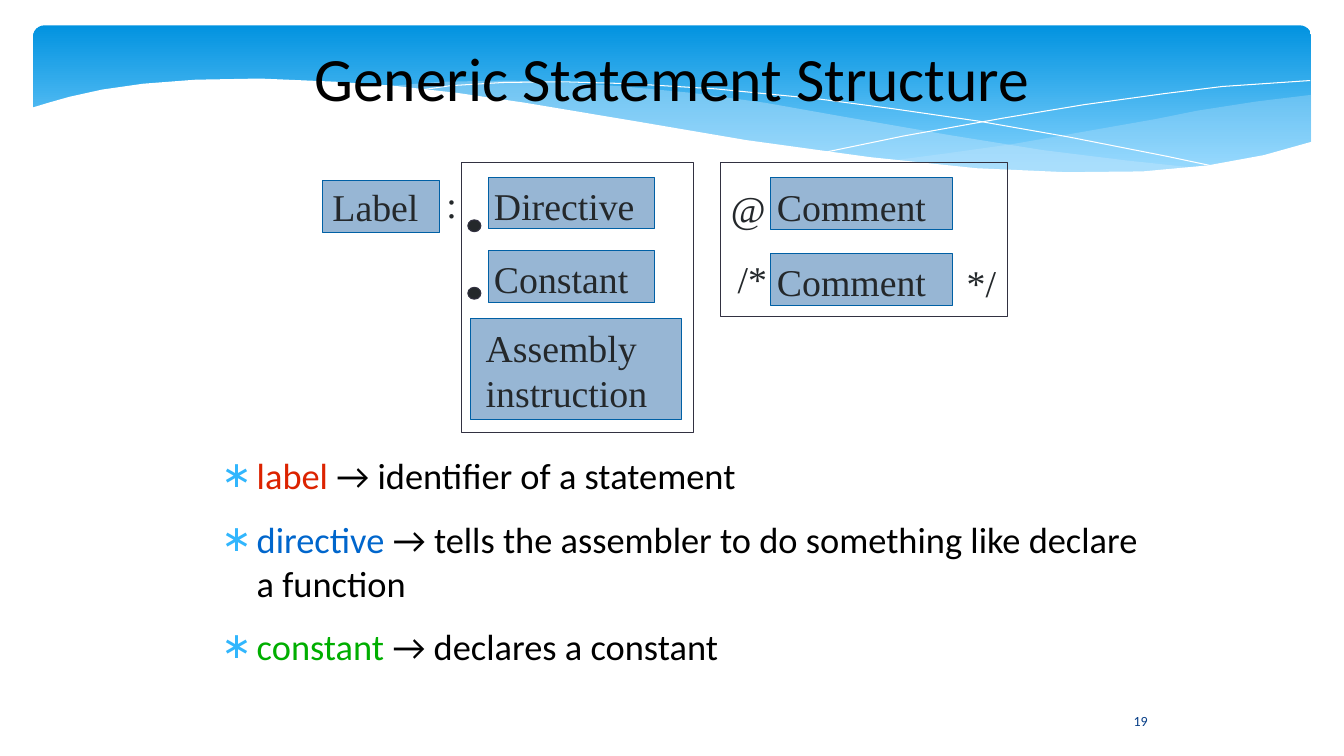
from lxml.etree import SubElement
from pptx import Presentation
from pptx.dml.color import RGBColor
from pptx.enum.shapes import MSO_SHAPE
from pptx.enum.text import MSO_ANCHOR, MSO_AUTO_SIZE, PP_ALIGN
from pptx.oxml import parse_xml
from pptx.oxml.ns import nsdecls, qn
from pptx.util import Cm, Pt

INK = "24282B"
FRAME_LINE = "323141"
DIAGRAM_FONT = "Times New Roman"


def color(hex_code):
    return RGBColor.from_string(hex_code)


def write(text_frame, runs, size, font_name, left=0, top=0, anchor=MSO_ANCHOR.TOP):
    """Fill the first paragraph with (text, colour) runs and return it."""
    text_frame.margin_left, text_frame.margin_top = Cm(left), Cm(top)
    text_frame.margin_right = text_frame.margin_bottom = 0
    text_frame.vertical_anchor = anchor
    paragraph = text_frame.paragraphs[0]
    for text, hex_code in runs:
        run = paragraph.add_run()
        run.text = text
        run.font.size = Pt(size)
        run.font.name = font_name
        run.font.color.rgb = color(hex_code)
    return paragraph


presentation = Presentation()
presentation.slide_width = Cm(33.87)
presentation.slide_height = Cm(19.05)
slide = presentation.slides.add_slide(presentation.slide_layouts[1])
shapes = slide.shapes
title, body = shapes.title, slide.placeholders[1]

# Blue banner
banner = shapes.add_shape(MSO_SHAPE.ROUNDED_RECTANGLE, Cm(0.84), Cm(0.64), Cm(32.2), Cm(3.96))
banner.adjustments[0] = 0.07
banner.shadow.inherit = False
banner.line.fill.background()
banner.fill.gradient()
banner.fill.gradient_angle = 270
for stop, hex_code, position in zip(banner.fill.gradient_stops, ("0293E0", "83D3FE"), (0, 0.9)):
    stop.color.rgb = color(hex_code)
    stop.position = position

# Waves over the banner: points in cm, fill, opacity in percent (no fill means a white line)
right_wave = [
    (33.05, 2.39), (31.65, 2.56), (30.17, 2.79), (29.13, 3.0), (27.25, 3.33), (25.53, 3.63),
    (23.9, 3.86), (22.4, 4.06), (24.33, 4.24), (26.04, 4.34), (27.56, 4.37), (28.91, 4.32),
    (30.12, 4.22), (31.19, 4.06), (32.16, 3.86), (33.05, 3.61)]
middle_wave = [
    (30.23, 4.24), (28.35, 4.04), (26.26, 3.78), (23.9, 3.4), (21.31, 2.95), (19.28, 2.59),
    (17.42, 2.34), (15.72, 2.18), (14.22, 2.08), (12.85, 2.03), (11.1, 2.06), (9.7, 2.18),
    (11.58, 2.39), (13.69, 2.69), (15.21, 2.95), (17.93, 3.43), (20.37, 3.81), (22.53, 4.09),
    (24.46, 4.27), (26.16, 4.37), (27.69, 4.39), (29.03, 4.34)]
falling_line = [
    (10.46, 2.29), (11.35, 2.16), (12.67, 2.08), (14.1, 2.06), (15.88, 2.11), (18.03, 2.24),
    (20.6, 2.49), (22.5, 2.74), (24.64, 3.05), (26.92, 3.45), (29.41, 3.94), (30.73, 4.22)]
rising_line = [
    (20.78, 3.84), (22.76, 3.43), (25.32, 2.97), (27.31, 2.64), (29.34, 2.36), (30.81, 2.18),
    (33.02, 2.03)]
white_wave = [
    (33.1, 3.56), (31.85, 3.91), (30.43, 4.17), (28.8, 4.32), (26.87, 4.34), (24.61, 4.24),
    (21.92, 3.96), (18.8, 3.53), (16.1, 3.07), (13.23, 2.59), (11.51, 2.34), (9.91, 2.16),
    (8.46, 2.06), (6.55, 1.98), (4.93, 2.01), (3.61, 2.11), (2.57, 2.26), (1.75, 2.44),
    (1.22, 2.59), (0.79, 2.72), (0.79, 5.69), (33.1, 5.69)]
for points, fill, opacity in [
    (right_wave, "C6E7FC", 29),
    (middle_wave, "C6E7FC", 40),
    (falling_line, None, 100),
    (rising_line, None, 100),
    (white_wave, "FFFFFF", 100),
]:
    corners = [(Cm(x), Cm(y)) for x, y in points]
    builder = shapes.build_freeform(*corners[0])
    builder.add_line_segments(corners[1:], close=fill is not None)
    wave = builder.convert_to_shape()
    wave.shadow.inherit = False
    if fill:
        wave.line.fill.background()
        wave.fill.solid()
        wave.fill.fore_color.rgb = color(fill)
        tint = wave.fill._xPr.find(qn("a:solidFill"))[0]
        SubElement(tint, qn("a:alpha")).set("val", str(opacity * 1000))
    else:
        wave.fill.background()
        wave.line.color.rgb = color("FFFFFF")
        wave.line.width = 0

# Slide number
number = shapes.add_textbox(Cm(27.97), Cm(17.65), Cm(1.55), Cm(1.02))
number.text_frame.word_wrap = True
paragraph = write(number.text_frame, [("19", "073E87")], 10, "Calibri", anchor=MSO_ANCHOR.MIDDLE)
paragraph.alignment = PP_ALIGN.CENTER

# Title and definitions, brought in front of the banner
for placeholder, left, top, width, height in [
    (title, 4.88, 0.64, 24.13, 2.59),
    (body, 5.28, 11.43, 23.7, 5.26),
]:
    shapes._spTree.append(placeholder._element)
    placeholder.left, placeholder.top = Cm(left), Cm(top)
    placeholder.width, placeholder.height = Cm(width), Cm(height)
    placeholder.text_frame.auto_size = MSO_AUTO_SIZE.NONE
    placeholder.text_frame.word_wrap = True

paragraph = write(title.text_frame, [("Generic Statement Structure", "000000")], 44, "Calibri",
                  anchor=MSO_ANCHOR.MIDDLE)
paragraph.alignment = PP_ALIGN.CENTER

definitions = [
    ("label", "DC2300", " → identifier of a statement"),
    ("directive", "0066CC", " → tells the assembler to do something like declare a function"),
    ("constant", "00AE00", " → declares a constant"),
]
body.text_frame.margin_left = body.text_frame.margin_right = 0
body.text_frame.margin_top = body.text_frame.margin_bottom = 0
for index, (term, hex_code, meaning) in enumerate(definitions):
    paragraph = body.text_frame.add_paragraph() if index else body.text_frame.paragraphs[0]
    properties = paragraph._p.get_or_add_pPr()
    properties.set("marL", str(Cm(1.19)))
    properties.set("indent", str(Cm(-0.89)))
    for bullet_xml in (
        '<a:buClr %s><a:srgbClr val="31B6FD"/></a:buClr>',
        '<a:buFont %s typeface="Calibri"/>',
        '<a:buChar %s char="∗"/>',
    ):
        properties.append(parse_xml(bullet_xml % nsdecls("a")))
    paragraph.space_before = 0
    paragraph.space_after = Pt(14.1)
    for text, run_color in ((term, hex_code), (meaning, "000000")):
        run = paragraph.add_run()
        run.text = text
        run.font.size = Pt(26)
        run.font.name = "Calibri"
        run.font.color.rgb = color(run_color)

# Statement diagram: frames, then named parts with their text insets
for kind, left, top, width, height, fill, line, text, inset_left, inset_top in [
    (MSO_SHAPE.RECTANGLE, 11.63, 4.09, 5.84, 6.81, None, FRAME_LINE, "", 0, 0),
    (MSO_SHAPE.RECTANGLE, 18.16, 4.09, 7.24, 3.89, None, FRAME_LINE, "", 0, 0),
    (MSO_SHAPE.RECTANGLE, 8.13, 4.55, 2.95, 1.32, "97B6D4", "0060A5", "Label", 0.25, 0.08),
    (MSO_SHAPE.RECTANGLE, 12.32, 4.47, 4.17, 1.3, "97B6D4", "0060A5", "Directive", 0.13, 0.13),
    (MSO_SHAPE.RECTANGLE, 12.32, 6.32, 4.17, 1.3, "97B6D4", "0060A5", "Constant", 0.13, 0.13),
    (MSO_SHAPE.RECTANGLE, 11.86, 8.03, 5.31, 2.54, "97B6D4", "0060A5", "Assembly instruction", 0.38, 0.15),
    (MSO_SHAPE.RECTANGLE, 19.43, 4.47, 4.57, 1.32, "97B6D4", "0060A5", "Comment", 0.15, 0.15),
    (MSO_SHAPE.RECTANGLE, 19.43, 6.4, 4.57, 1.3, "97B6D4", "0060A5", "Comment", 0.15, 0.13),
    (MSO_SHAPE.OVAL, 11.79, 5.54, 0.33, 0.3, INK, FRAME_LINE, "", 0, 0),
    (MSO_SHAPE.OVAL, 11.79, 7.24, 0.33, 0.3, INK, FRAME_LINE, "", 0, 0),
]:
    shape = shapes.add_shape(kind, Cm(left), Cm(top), Cm(width), Cm(height))
    shape.shadow.inherit = False
    shape.line.color.rgb = color(line)
    shape.line.width = 0
    if fill:
        shape.fill.solid()
        shape.fill.fore_color.rgb = color(fill)
    else:
        shape.fill.background()
    if text:
        paragraph = write(shape.text_frame, [(text, INK)], 27, DIAGRAM_FONT, inset_left, inset_top)
        paragraph.alignment = PP_ALIGN.LEFT

# Punctuation around the parts
for mark, left, top, width in [
    (":", 11.25, 4.55, 0.28),
    ("@", 18.42, 4.67, 0.89),
    ("/*", 18.59, 6.45, 0.76),
    ("*/", 24.36, 6.55, 0.76),
]:
    box = shapes.add_textbox(Cm(left), Cm(top), Cm(width), Cm(1.14))
    box.text_frame.word_wrap = False
    write(box.text_frame, [(mark, INK)], 27, DIAGRAM_FONT)

presentation.save("out.pptx")
